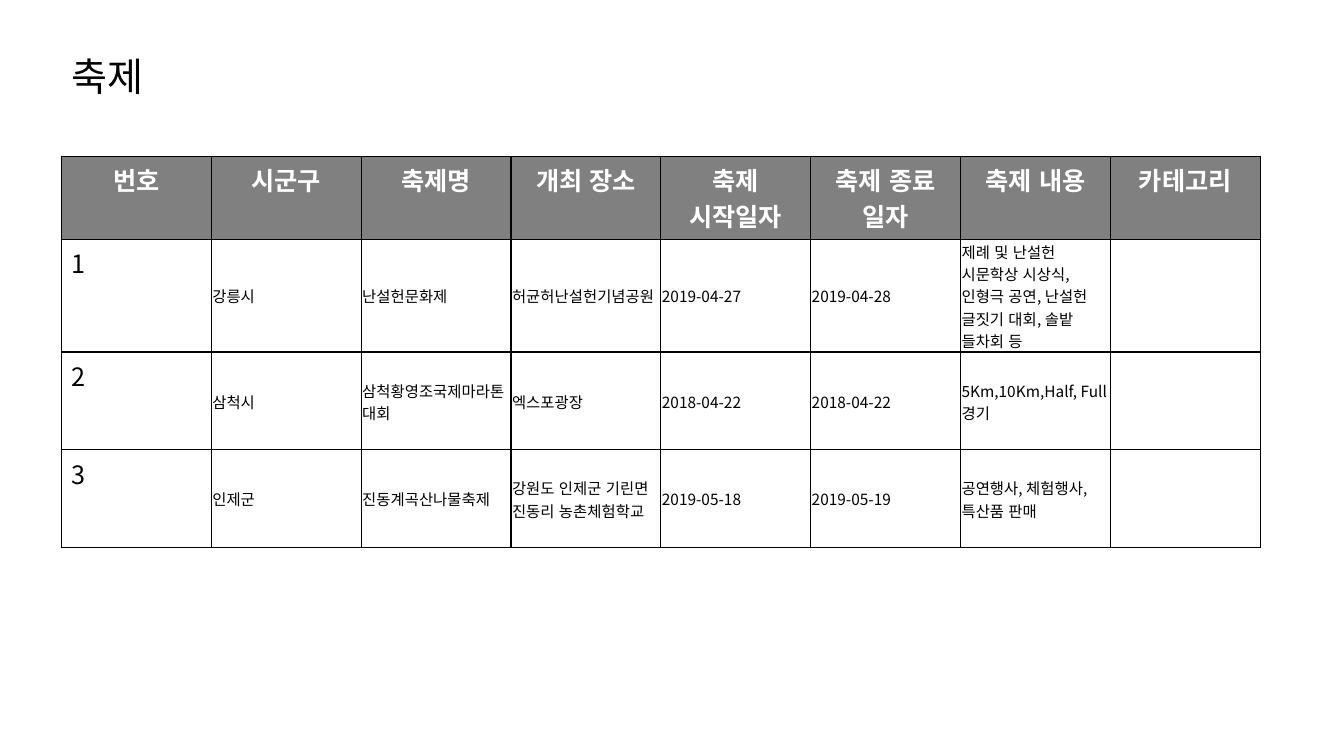
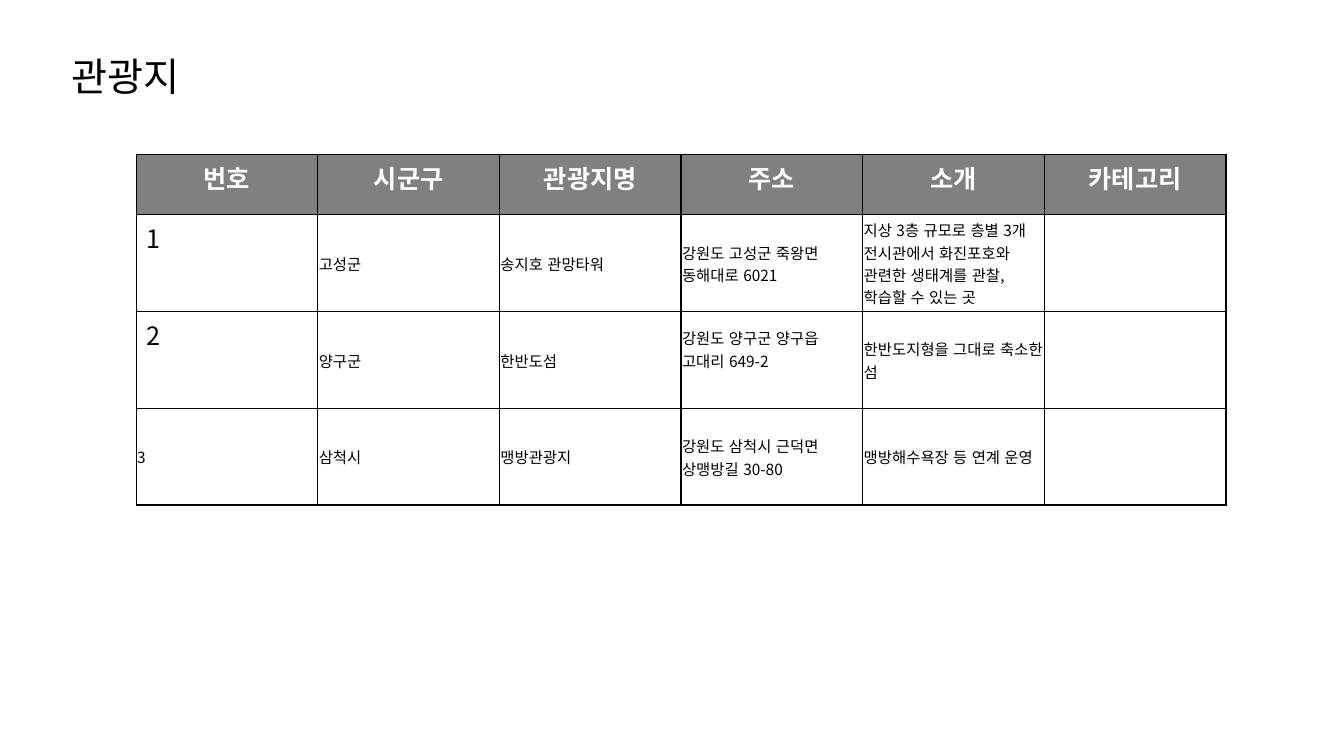
from lxml.etree import SubElement
from pptx import Presentation
from pptx.dml.color import RGBColor
from pptx.enum.lang import MSO_LANGUAGE_ID as Language
from pptx.enum.text import MSO_ANCHOR as Anchor, MSO_AUTO_SIZE as AutoSize, PP_ALIGN as Align
from pptx.oxml import parse_xml
from pptx.oxml.ns import nsdecls, qn
from pptx.util import Inches, Pt

COLORS = {"header": "808080", "body": "FFFFFF", "light": "FFFFFF", "dark": "000000", "border": "000000"}
FONT = "Noto Sans CJK KR"

# Text formats shared by both slides
TITLE = {"size": Pt(28), "bold": False}
HEADER = {"size": Pt(18), "bold": True}
NUMBER = {"size": Pt(18), "bold": False}
DETAIL = {"size": Pt(11), "bold": False}

# Insets of the compact detail cells
DETAIL_CELL = {
    "vertical_anchor": Anchor.MIDDLE,
    "margin_left": Inches(0.01),
    "margin_top": Inches(0.01),
    "margin_right": Inches(0.01),
    "margin_bottom": Inches(0),
}

PAGES = [
    {
        "title": "축제",
        "left": 0.61, "top": 1.55, "width": 11.89,
        "heights": [0.79, 0.97, 0.97, 0.97],
        "rows": [
            ["번호", "시군구", "축제명", "개최 장소", "축제 시작일자", "축제 종료 일자", "축제 내용", "카테고리"],
            ["1", "강릉시", "난설헌문화제", "허균허난설헌기념공원", "2019-04-27", "2019-04-28",
             "제례 및 난설헌 시문학상 시상식, 인형극 공연, 난설헌 글짓기 대회, 솔밭 들차회 등", ""],
            ["2", "삼척시", "삼척황영조국제마라톤대회", "엑스포광장", "2018-04-22", "2018-04-22",
             "5Km,10Km,Half, Full경기", ""],
            ["3", "인제군", "진동계곡산나물축제", "강원도 인제군 기린면 진동리 농촌체험학교",
             "2019-05-18", "2019-05-19", "공연행사, 체험행사, 특산품 판매", ""],
        ],
        "small_numbers": [],
        "raised": [],
    },
    {
        "title": "관광지",
        "left": 1.35, "top": 1.53, "width": 10.81,
        "heights": [0.6, 0.96, 0.96, 0.96],
        "rows": [
            ["번호", "시군구", "관광지명", "주소", "소개", "카테고리"],
            ["1", "고성군", "송지호 관망타워", "강원도 고성군 죽왕면 동해대로 6021",
             "지상 3층 규모로 층별 3개 전시관에서 화진포호와 관련한 생태계를 관찰, 학습할 수 있는 곳", ""],
            ["2", "양구군", "한반도섬", "강원도 양구군 양구읍 고대리 649-2", "한반도지형을 그대로 축소한 섬", ""],
            ["3", "삼척시", "맹방관광지", "강원도 삼척시 근덕면 상맹방길 30-80", "맹방해수욕장 등 연계 운영", ""],
        ],
        "small_numbers": [3],
        "raised": [(2, 3)],
    },
]


def write(para, text, style, color):
    span = para.add_run()
    span.text = text
    for name, value in style.items():
        setattr(span.font, name, value)
    span.font.name = FONT
    span.font.language_id = Language.KOREAN
    span.font.color.rgb = RGBColor.from_string(COLORS[color])
    SubElement(span._r.get_or_add_rPr(), qn("a:ea"), typeface=FONT)


def paint(cell, color):
    cell.fill.solid()
    cell.fill.fore_color.rgb = RGBColor.from_string(COLORS[color])
    for place, side in enumerate(["lnL", "lnR", "lnT", "lnB"]):
        line = parse_xml(
            f'<a:{side} {nsdecls("a")} w="{Pt(1)}"><a:solidFill>'
            f'<a:srgbClr val="{COLORS["border"]}"/></a:solidFill></a:{side}>'
        )
        cell._tc.get_or_add_tcPr().insert(place, line)


deck = Presentation()
deck.slide_width = Inches(13.33)
deck.slide_height = Inches(7.5)

for content in PAGES:
    page = deck.slides.add_slide(deck.slide_layouts[6])
    rows = content["rows"]

    # Table grid
    frame = page.shapes.add_table(
        len(rows), len(rows[0]), Inches(content["left"]), Inches(content["top"]),
        Inches(content["width"]), Inches(sum(content["heights"])),
    )
    table = frame.table
    table.first_row = False
    table.horz_banding = False
    for column in table.columns:
        column.width = Inches(content["width"] / len(rows[0]))
    for row, height in zip(table.rows, content["heights"]):
        row.height = Inches(height)

    # Table cells
    for row_index, texts in enumerate(rows):
        for column_index, text in enumerate(texts):
            cell = table.cell(row_index, column_index)
            paint(cell, "body" if row_index else "header")
            if not text:
                continue
            para = cell.text_frame.paragraphs[0]
            if row_index == 0:
                para.alignment = Align.CENTER
                write(para, text, HEADER, "light")
            elif column_index == 0 and row_index not in content["small_numbers"]:
                write(para, text, NUMBER, "dark")
            else:
                for name, value in DETAIL_CELL.items():
                    setattr(cell, name, value)
                write(para, text, DETAIL, "dark")
            if (row_index, column_index) in content["raised"]:
                cell.margin_bottom = Inches(0.22)

    # Slide title
    box = page.shapes.add_textbox(Inches(0.61), Inches(0.47), Inches(2.63), Inches(0.57))
    box.text_frame.word_wrap = True
    box.text_frame.auto_size = AutoSize.SHAPE_TO_FIT_TEXT
    write(box.text_frame.paragraphs[0], content["title"], TITLE, "dark")

deck.save("out.pptx")
